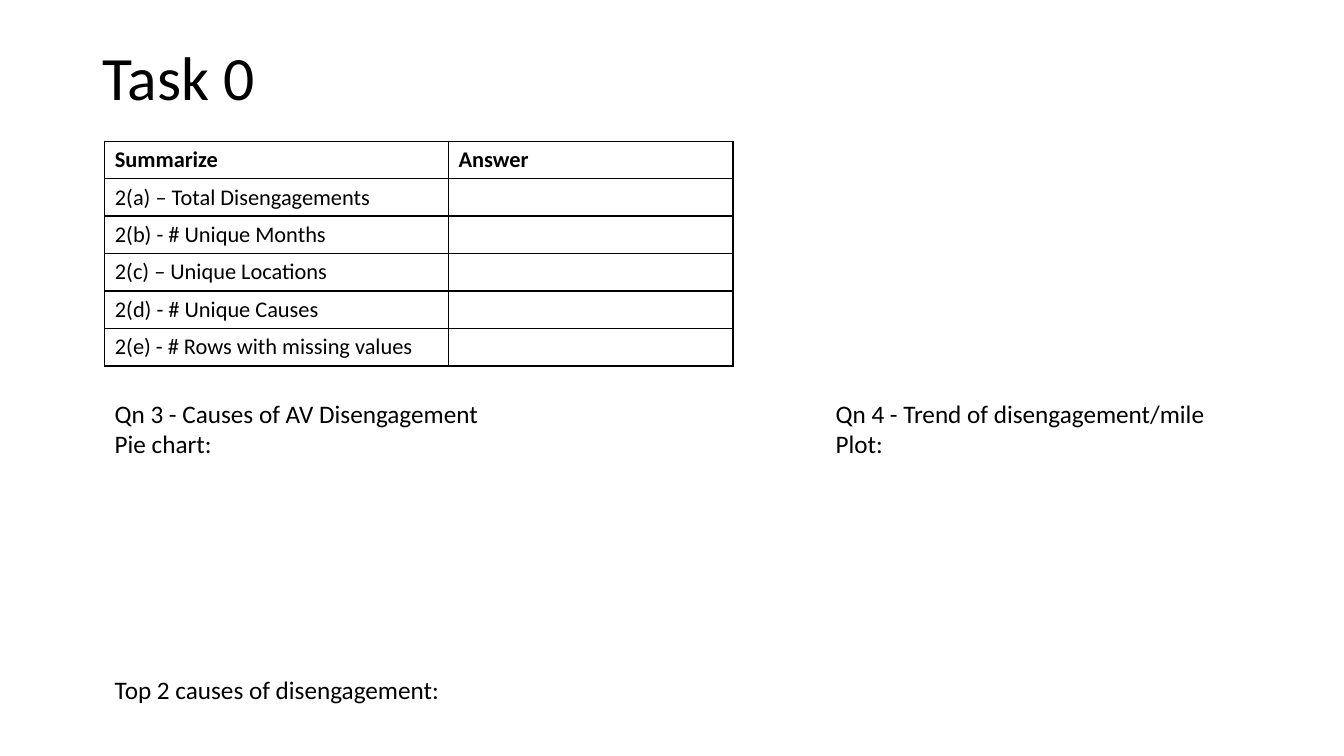
from dataclasses import dataclass

from lxml.etree import SubElement
from pptx import Presentation
from pptx.dml.color import RGBColor
from pptx.enum.text import MSO_ANCHOR as Anchor, PP_ALIGN as Align
from pptx.oxml.ns import qn
from pptx.util import Emu, Inches, Pt


@dataclass(frozen=True)
class Theme:
    """Font, colours and type sizes of the slide."""
    font: str = "Calibri"
    ink: str = "000000"
    paper: str = "FFFFFF"
    title_size: int = 44
    body_size: int = 18
    table_size: int = 16
    border: int = 1


@dataclass(frozen=True)
class Area:
    """A rectangle in percent of the slide's width and height."""
    left: float
    top: float
    width: float
    height: float


@dataclass(frozen=True)
class Line:
    """One paragraph and the number of body lines left free above it."""
    text: str
    lines_above: int = 0


@dataclass(frozen=True)
class Question:
    """A question block with its place and lines."""
    area: Area
    lines: tuple[Line, ...]


THEME = Theme()
LINE_HEIGHT = 1.22
LEFT_EDGE = 7.8
QUESTION_TOP, QUESTION_HEIGHT = 52, 41.73
TITLE_AREA = Area(6.9, 0.93, 86.25, 19.33)
SUMMARY_TOP, SUMMARY_ROW = 18.67, 4.96
SUMMARY_COLUMNS = (25.58, 21.16)
SUMMARY_ROWS = (
    ("Summarize", "Answer"),
    ("2(a) – Total Disengagements", ""),
    ("2(b) - # Unique Months", ""),
    ("2(c) – Unique Locations", ""),
    ("2(d) - # Unique Causes", ""),
    ("2(e) - # Rows with missing values", ""),
)
QUESTIONS = (
    Question(Area(LEFT_EDGE, QUESTION_TOP, 28.88, QUESTION_HEIGHT), (
        Line("Qn 3 - Causes of AV Disengagement"),
        Line("Pie chart:"),
        Line("Top 2 causes of disengagement: ", lines_above=7),
    )),
    Question(Area(61.44, QUESTION_TOP, 29.33, QUESTION_HEIGHT), (
        Line("Qn 4 - Trend of disengagement/mile"),
        Line("Plot:"),
    )),
)

deck = Presentation()
deck.slide_width, deck.slide_height = Inches(13.33), Inches(7.5)
slide = deck.slides.add_slide(deck.slide_layouts[6])


def across(percent: float) -> Emu:
    """Turn a percentage of the slide's width into a length."""
    return Emu(int(deck.slide_width * percent / 100))


def down(percent: float) -> Emu:
    """Turn a percentage of the slide's height into a length."""
    return Emu(int(deck.slide_height * percent / 100))


def place(area: Area) -> tuple[Emu, Emu, Emu, Emu]:
    """Give left, top, width and height of an area."""
    return across(area.left), down(area.top), across(area.width), down(area.height)


def write(paragraph, text: str, size: int, bold: bool = False) -> None:
    """Add one styled run to a paragraph."""
    run = paragraph.add_run()
    run.text = text
    run.font.name, run.font.size, run.font.bold = THEME.font, Pt(size), bold
    run.font.color.rgb = RGBColor.from_string(THEME.ink)


def draw_text(area: Area, lines: tuple[Line, ...], size: int, wrap: bool,
              anchor: Anchor, spacing: float = 1.0) -> None:
    """Draw a left-aligned text box with one paragraph per line."""
    frame = slide.shapes.add_textbox(*place(area)).text_frame
    frame.word_wrap, frame.vertical_anchor = wrap, anchor
    for index, line in enumerate(lines):
        paragraph = frame.add_paragraph() if index else frame.paragraphs[0]
        paragraph.alignment, paragraph.line_spacing = Align.LEFT, spacing
        paragraph.space_before = Pt(round(line.lines_above * size * LINE_HEIGHT))
        write(paragraph, line.text, size)


def outline(cell) -> None:
    """Give a cell thin borders on all four sides, ahead of its fill."""
    properties = cell._tc.get_or_add_tcPr()
    for side in ("a:lnL", "a:lnR", "a:lnT", "a:lnB"):
        border = SubElement(properties, qn(side), w=str(Pt(THEME.border)))
        fill = SubElement(border, qn("a:solidFill"))
        SubElement(fill, qn("a:srgbClr"), val=THEME.ink)


def draw_summary() -> None:
    """Draw the summary table with its empty answer column."""
    area = Area(LEFT_EDGE, SUMMARY_TOP, sum(SUMMARY_COLUMNS),
                SUMMARY_ROW * len(SUMMARY_ROWS))
    table = slide.shapes.add_table(
        len(SUMMARY_ROWS), len(SUMMARY_COLUMNS), *place(area)).table
    for column, width in zip(table.columns, SUMMARY_COLUMNS):
        column.width = across(width)
    for row_index, texts in enumerate(SUMMARY_ROWS):
        table.rows[row_index].height = down(SUMMARY_ROW)
        for column_index, text in enumerate(texts):
            cell = table.cell(row_index, column_index)
            outline(cell)
            cell.fill.solid()
            cell.fill.fore_color.rgb = RGBColor.from_string(THEME.paper)
            paragraph = cell.text_frame.paragraphs[0]
            if text:
                write(paragraph, text, THEME.table_size, bold=row_index == 0)
            else:
                SubElement(paragraph._p, qn("a:endParaRPr"),
                           sz=str(THEME.table_size * 100))


draw_text(TITLE_AREA, (Line("Task 0"),), THEME.title_size, wrap=True,
          anchor=Anchor.MIDDLE, spacing=0.9)
draw_summary()
for question in QUESTIONS:
    draw_text(question.area, question.lines, THEME.body_size, wrap=False,
              anchor=Anchor.TOP)

deck.save("out.pptx")
